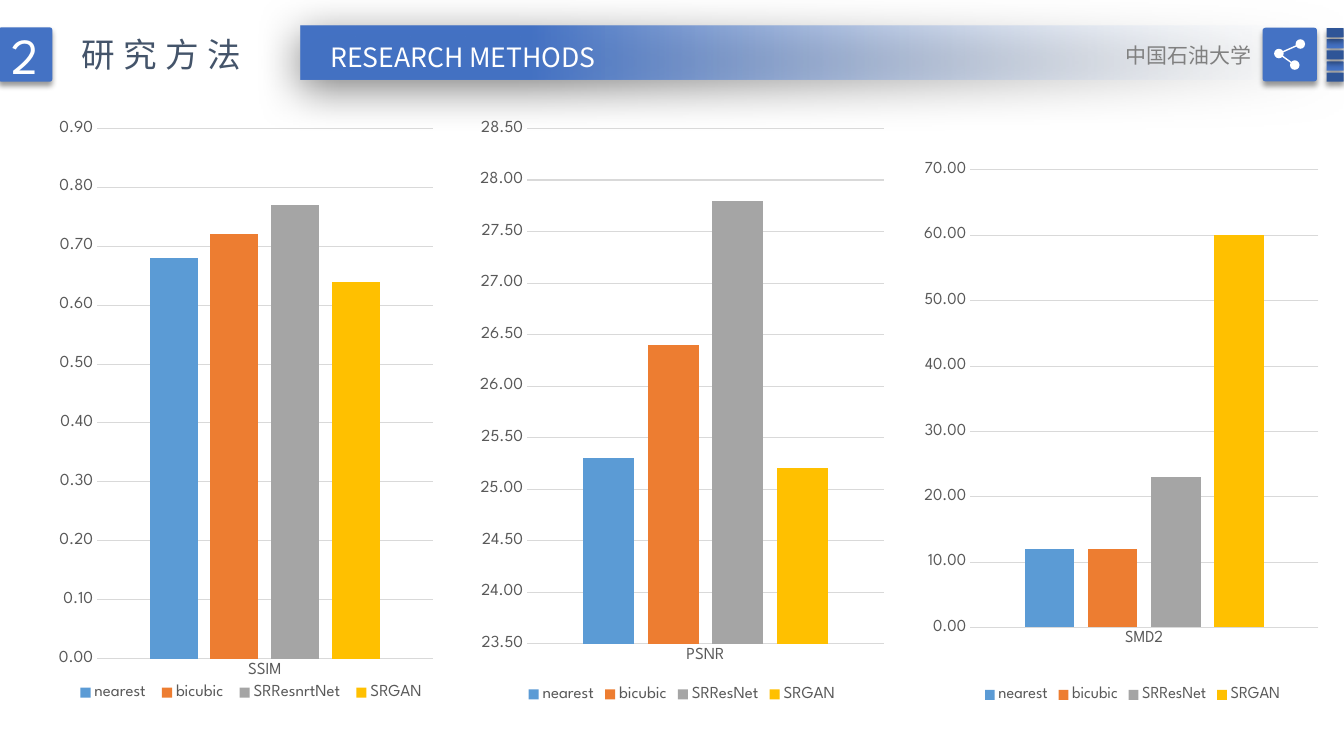
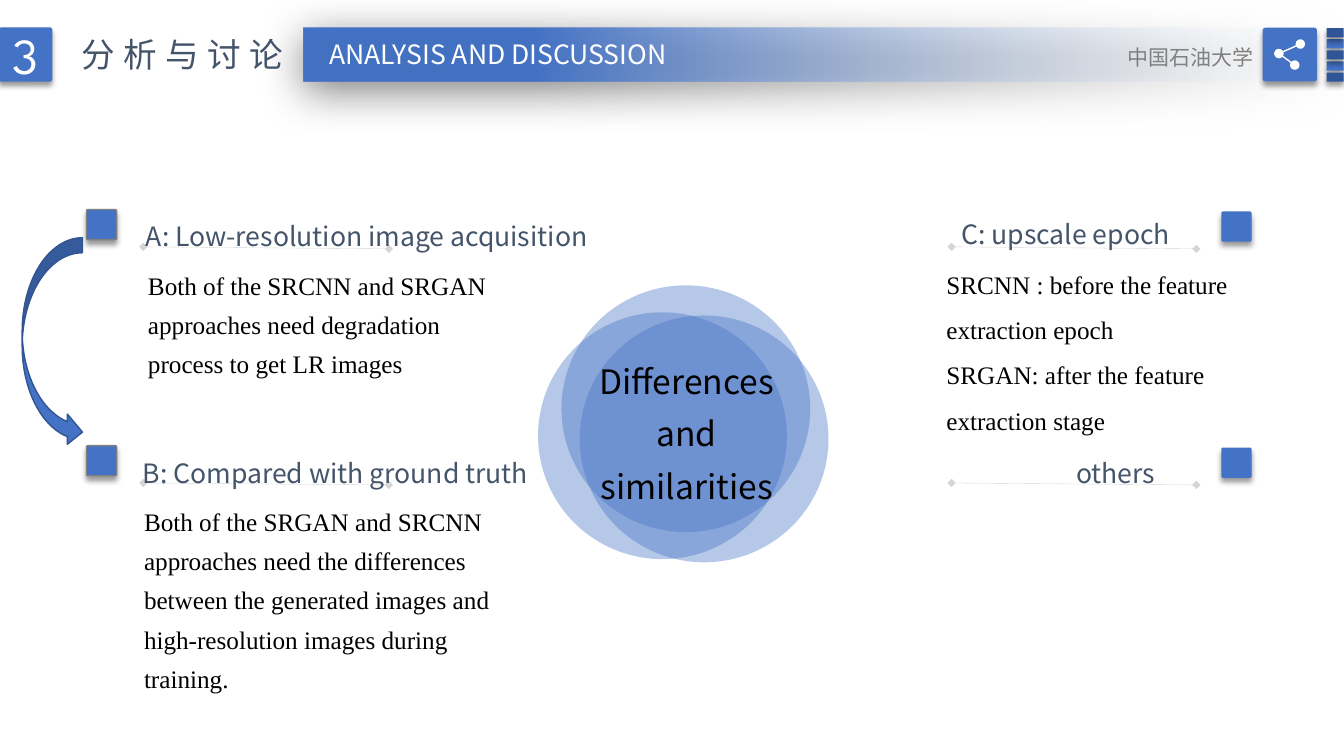
from lxml.etree import SubElement
from pptx import Presentation
from pptx.chart.data import CategoryChartData
from pptx.dml.color import RGBColor
from pptx.enum.chart import XL_CHART_TYPE, XL_LEGEND_POSITION, XL_TICK_MARK
from pptx.enum.shapes import MSO_CONNECTOR, MSO_SHAPE
from pptx.enum.text import MSO_ANCHOR, MSO_AUTO_SIZE, PP_ALIGN
from pptx.oxml.ns import qn
from pptx.util import Cm, Pt

COLORS = {
    "blue": "4472C4", "navy": "2F5597", "outline": "325491", "slate": "44546A",
    "mist": "F7FAFD", "white": "FFFFFF", "black": "000000", "gray": "808080",
    "edge": "7F7F7F", "grid": "D9D9D9", "label": "595959",
    "nearest": "5B9BD5", "bicubic": "ED7D31", "resnet": "A5A5A5", "gan": "FFC000",
}
SERIES_COLORS = ["nearest", "bicubic", "resnet", "gan"]
SANS, SERIF, DISPLAY = "Noto Sans CJK SC", "Times New Roman", "League Spartan"
SLIDE_W, SLIDE_H = 33.87, 19.05
SOFT_SHADOW = (40, 4, 3, 90)
WIDE_SHADOW = (50, 31, 6, 97)


def rgb(name):
    return RGBColor.from_string(COLORS[name])


def set_alpha(parent, percent):
    for color in parent.iter(qn("a:srgbClr")):
        SubElement(color, qn("a:alpha"), val=str(percent * 1000))


def set_layout(parent, index, box, inner=False):
    for old in parent.findall(qn("c:layout")):
        parent.remove(old)
    layout = parent.makeelement(qn("c:layout"), {})
    manual = SubElement(layout, qn("c:manualLayout"))
    if inner:
        SubElement(manual, qn("c:layoutTarget"), val="inner")
    for mode in ("xMode", "yMode"):
        SubElement(manual, qn("c:" + mode), val="edge")
    for side, value in zip("xywh", box):
        SubElement(manual, qn("c:" + side), val=str(value))
    parent.insert(index, layout)


class Deck:
    def __init__(self):
        self.prs = Presentation()
        self.prs.slide_width, self.prs.slide_height = Cm(SLIDE_W), Cm(SLIDE_H)
        self.shapes = None

    def new_slide(self):
        self.shapes = self.prs.slides.add_slide(self.prs.slide_layouts[6]).shapes

    def shape(self, preset, box, fill="blue", line=None, alpha=None, shadow=None):
        shape = self.shapes.add_shape(preset, *map(Cm, box))
        shape.shadow.inherit = False
        shape.fill.solid()
        shape.fill.fore_color.rgb = rgb(fill)
        if alpha:
            set_alpha(shape._element.spPr, alpha)
        if line:
            shape.line.color.rgb = rgb(line)
            shape.line.width = Pt(1)
        else:
            shape.line.fill.background()
        if shadow:
            self.cast_shadow(shape, *shadow)
        return shape

    def cast_shadow(self, shape, opacity, blur, distance, angle):
        effects = shape._element.spPr.find(qn("a:effectLst"))
        outer = SubElement(effects, qn("a:outerShdw"), blurRad=str(Pt(blur)),
                           dist=str(Pt(distance)), dir=str(angle * 60000),
                           algn="t", rotWithShape="0")
        SubElement(outer, qn("a:srgbClr"), val=COLORS["black"])
        set_alpha(outer, opacity)

    def tile(self, box, fill="blue", line=None):
        tile = self.shape(MSO_SHAPE.ROUNDED_RECTANGLE, box, fill, line, shadow=SOFT_SHADOW)
        tile.adjustments[0] = 0.05
        return tile

    def line(self, start, end, color, width, alpha=None, ends=None):
        line = self.shapes.add_connector(MSO_CONNECTOR.STRAIGHT, *map(Cm, start + end))
        line.line.color.rgb = rgb(color)
        line.line.width = Pt(width)
        properties = line._element.spPr
        if alpha:
            set_alpha(properties, alpha)
        if ends:
            outline = properties.find(qn("a:ln"))
            for tag in ("a:headEnd", "a:tailEnd"):
                SubElement(outline, qn(tag), type=ends)
        SubElement(properties, qn("a:effectLst"))

    def add_lines(self, frame, lines, size, color, font, align=PP_ALIGN.LEFT,
                  spacing=None, tracking=None):
        for number, words in enumerate(lines):
            paragraph = frame.add_paragraph() if number else frame.paragraphs[0]
            paragraph.alignment = align
            if spacing:
                paragraph.line_spacing = spacing
            run = paragraph.add_run()
            run.text = words
            run.font.size = Pt(size)
            run.font.color.rgb = rgb(color)
            run.font.name = font
            properties = run._r.get_or_add_rPr()
            SubElement(properties, qn("a:ea"), typeface=font)
            if tracking:
                properties.set("spc", str(tracking * 100))

    def text(self, box, lines, size, color, font=SANS, wrap=False, **style):
        frame = self.shapes.add_textbox(*map(Cm, box)).text_frame
        frame.word_wrap = wrap
        frame.auto_size = MSO_AUTO_SIZE.SHAPE_TO_FIT_TEXT
        self.add_lines(frame, lines, size, color, font, **style)

    def banner(self, left, top):
        banner = self.shape(MSO_SHAPE.RECTANGLE, (left, top, SLIDE_W - left, 1.35),
                            shadow=WIDE_SHADOW)
        banner.fill.gradient()
        banner.fill.gradient_angle = 180
        clear, solid = banner.fill.gradient_stops
        clear.color.rgb, clear.position = rgb("mist"), 0
        solid.color.rgb, solid.position = rgb("blue"), 0.78
        first_stop = banner._element.spPr.find(".//" + qn("a:gs"))
        set_alpha(first_stop, 0)

    def share_icon(self):
        self.tile((31.82, 0.7, 1.37, 1.35))
        hub, radius = (32.23, 1.35), 0.12
        tips = [(32.77, 1.11), (32.63, 1.64)]
        for tip in tips:
            self.line(hub, tip, "white", 1)
        for x, y in [hub] + tips:
            self.shape(MSO_SHAPE.OVAL, (x - radius, y - radius, 2 * radius, 2 * radius), "white")

    def header(self, number, title, title_width, label, label_box, banner_at, school_at):
        self.banner(*banner_at)
        badge = self.tile((-0.03, 0.69, 1.35, 1.37)).text_frame
        badge.vertical_anchor = MSO_ANCHOR.MIDDLE
        self.add_lines(badge, [number], 36, "white", DISPLAY, PP_ALIGN.CENTER)
        self.text((1.8, 0.74, title_width, 1.27), [title], 24, "slate", tracking=6)
        self.text(label_box, [label], 19, "white", align=PP_ALIGN.CENTER)
        for color, rows in (("blue", (1, 3)), ("navy", (0, 2, 4))):
            for row in rows:
                self.tile((33.43, 0.71 + row * 0.28, 0.43, 0.23), color)
        self.share_icon()
        self.text((*school_at, 6.02, 0.89), ["中国石油大学"], 15, "gray",
                  wrap=True, align=PP_ALIGN.RIGHT)

    def style_font(self, font, size=12, color="label"):
        font.size, font.name = Pt(size), DISPLAY
        font.color.rgb = rgb(color)

    def chart(self, box, metric, results, scale, plot_box=None, legend_box=None):
        data = CategoryChartData()
        data.categories = [metric]
        for method, value in results.items():
            data.add_series(method, [value])
        chart = self.shapes.add_chart(XL_CHART_TYPE.COLUMN_CLUSTERED, *map(Cm, box), data).chart
        chart.has_title = False
        self.style_font(chart.font, 10, "black")
        plot = chart.plots[0]
        plot.gap_width, plot.overlap, plot.vary_by_categories = 219, -27, False
        for series, color in zip(plot.series, SERIES_COLORS):
            series.format.fill.solid()
            series.format.fill.fore_color.rgb = rgb(color)

        categories, values = chart.category_axis, chart.value_axis
        for axis in (categories, values):
            axis.major_tick_mark = axis.minor_tick_mark = XL_TICK_MARK.NONE
            self.style_font(axis.tick_labels.font)
        values.has_major_gridlines = True
        for line in (categories.format.line, values.major_gridlines.format.line):
            line.color.rgb = rgb("grid")
            line.width = Pt(0.75)
        values.format.line.fill.background()
        values.minimum_scale, values.maximum_scale, values.major_unit = scale
        values.tick_labels.number_format = "0.00"
        values.tick_labels.number_format_is_linked = False

        chart.has_legend = True
        chart.legend.position = XL_LEGEND_POSITION.BOTTOM
        chart.legend.include_in_layout = False
        self.style_font(chart.legend.font)
        if plot_box:
            set_layout(chart._chartSpace.find(".//" + qn("c:plotArea")), 0, plot_box, inner=True)
        if legend_box:
            set_layout(chart.legend._element, 1, legend_box)

    def topic(self, heading, heading_box, marker_at, rule_x, rule_y, marker_line=None):
        self.tile((*marker_at, 0.76, 0.76), line=marker_line)
        left, right = rule_x
        self.line((left, rule_y), (right, rule_y + 0.05), "gray", 0.25, 33, "diamond")
        self.text((*heading_box, 1.32), [heading], 19, "slate", spacing=1.3)


def research_methods(deck):
    deck.new_slide()
    deck.header("2", "研究方法", 4.78, "RESEARCH METHODS", (7.87, 0.91, 7.59, 1.07),
                (7.57, 0.66), (25.78, 0.94))
    deck.chart((23.29, 2.44, 10.13, 15.37), "SMD2",
               {"nearest": 12, "bicubic": 12, "SRResNet": 23, "SRGAN": 60},
               (0, 70, 10), plot_box=(0.08, 0.12, 0.9, 0.75))
    deck.chart((11.89, 2.74, 10.59, 15.06), "PSNR",
               {"nearest": 25.3, "bicubic": 26.4, "SRResNet": 27.8, "SRGAN": 25.2},
               (23.5, 28.5, 0.5))
    deck.chart((1.27, 2.77, 9.83, 15.54), "SSIM",
               {"nearest": 0.68, "bicubic": 0.72, "SRResnrtNet": 0.77, "SRGAN": 0.64},
               (0, 0.9, 0.1), plot_box=(0.12, 0.03, 0.86, 0.86),
               legend_box=(0.05, 0.92, 0.93, 0.05))


def analysis_and_discussion(deck):
    deck.new_slide()
    for left, top in ((13.56, 7.87), (14.15, 7.19), (14.61, 7.95)):
        deck.shape(MSO_SHAPE.OVAL, (left, top, 6.27, 6.22), alpha=39)
    deck.text((14.5, 8.66, 5.61, 4.27), ["Differences and similarities"], 24, "black",
              wrap=True, align=PP_ALIGN.CENTER, spacing=1.3)
    left_rule, right_rule = (3.61, 9.8), (23.98, 30.15)
    upper, lower = 6.22, 12.17
    deck.topic("A: Low-resolution image acquisition", (3.43, 5.18, 12.32),
               (2.18, 5.28), left_rule, upper, "edge")
    deck.topic("B: Compared with ground truth", (3.35, 11.15, 10.64),
               (2.18, 11.23), left_rule, lower, "edge")
    deck.topic("C: upscale epoch", (23.98, 5.13, 6.17), (30.78, 5.33), right_rule, upper)
    deck.topic("others", (26.87, 11.15, 2.77), (30.78, 11.28), right_rule, lower)

    acquisition = ["Both of the SRCNN and SRGAN approaches need degradation "
                   "process to get LR images"]
    comparison = ["Both of the SRGAN and SRCNN approaches need the differences between "
                  "the generated images and high-resolution images during training."]
    upscaling = ["SRCNN : before the feature", "extraction epoch",
                 "SRGAN: after the feature", "extraction stage"]
    for box, lines, wrap, spacing in (
        ((3.48, 6.45, 9.8, 3.25), acquisition, True, 1.3),
        ((3.38, 12.4, 9.8, 5.26), comparison, True, 1.3),
        ((23.6, 6.27, 7.67, 4.88), upscaling, False, 1.5),
    ):
        deck.text(box, lines, 18, "black", SERIF, wrap, spacing=spacing)
    deck.shape(MSO_SHAPE.CURVED_RIGHT_ARROW, (0.56, 5.99, 1.52, 5.28), line="outline")
    deck.header("3", "分析与讨论", 5.87, "ANALYSIS AND DISCUSSION", (7.65, 0.84, 9.8, 1.07),
                (7.65, 0.71), (25.83, 0.99))


def main():
    deck = Deck()
    research_methods(deck)
    analysis_and_discussion(deck)
    deck.prs.save("out.pptx")


if __name__ == "__main__":
    main()
